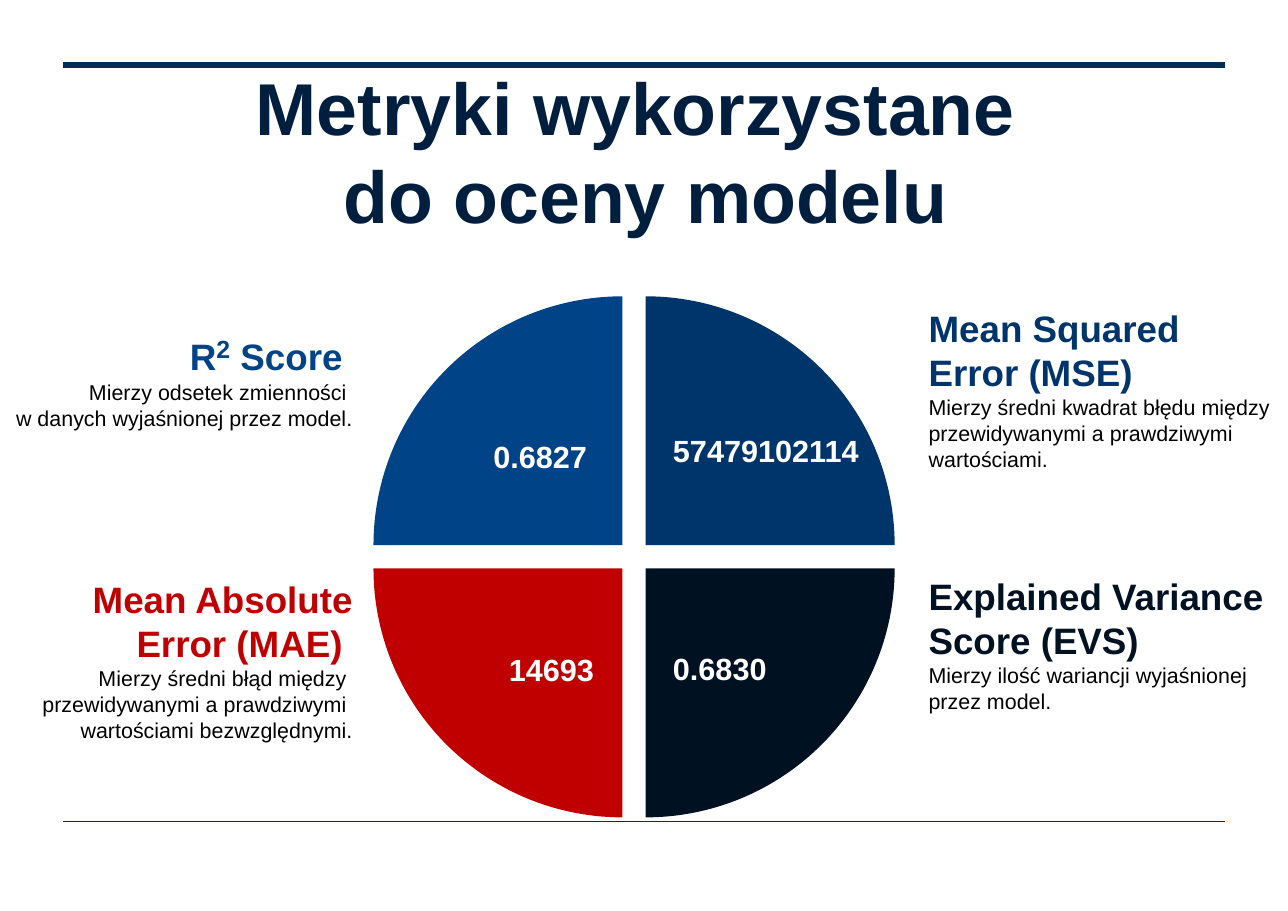
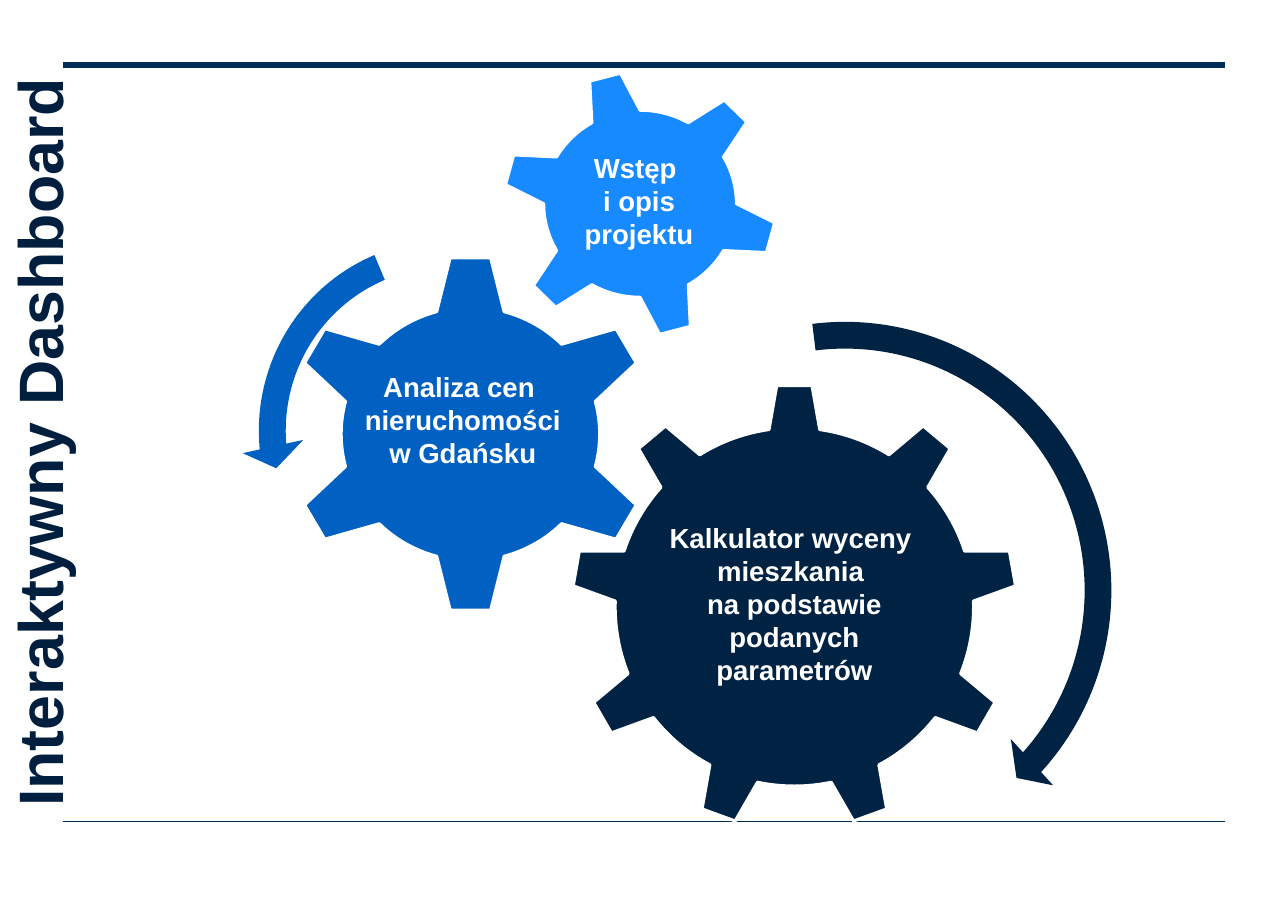
import math
from pptx import Presentation
from pptx import util as u
from pptx.dml.color import RGBColor
from pptx.enum import shapes, text
from lxml import etree

Inches = u.Inches
NAVY, RULE, WHITE, BLACK = "001E3E", "002C58", "FFFFFF", "000000"
LEFT, CENTER, RIGHT = text.PP_ALIGN.LEFT, text.PP_ALIGN.CENTER, text.PP_ALIGN.RIGHT
DRAWING = "{http://schemas.openxmlformats.org/drawingml/2006/main}"


def paint(target, color):
    """Colour a font, or give a fill or line one solid colour."""
    if hasattr(target, "solid"):
        target.solid()
        target.fore_color.rgb = RGBColor.from_string(color)
    else:
        target.color.rgb = RGBColor.from_string(color)


def add_text(page, place, rows, align=LEFT):
    """Add a box with one paragraph per (text, size, colour, bold) row."""
    box = page.shapes.add_textbox(*map(Inches, place))
    frame = box.text_frame
    frame.word_wrap = True
    for number, (words, size, color, bold) in enumerate(rows):
        para = frame.add_paragraph() if number else frame.paragraphs[0]
        para.text = words
        para.alignment = align
        para.font.name = "Arial"
        para.font.size = u.Pt(size)
        para.font.bold = bold
        paint(para.font, color)
    return box


deck = Presentation()
deck.slide_width, deck.slide_height = Inches(11.69), Inches(8.27)

# Both pages: a thick rule on top and a thin rule at the bottom
pages = [deck.slides.add_slide(deck.slide_layouts[6]) for _ in range(2)]
for page in pages:
    for y, weight in ((7.46, 0.75), (0.59, 4)):
        rule = page.shapes.add_connector(
            shapes.MSO_CONNECTOR.STRAIGHT,
            Inches(0.57), Inches(y), Inches(11.12), Inches(y))
        rule.line.width = u.Pt(weight)
        paint(rule.line, RULE)
        etree.SubElement(rule._element.spPr, DRAWING + "effectLst")
metrics, dashboard = pages

# Metrics: title
add_text(metrics, (0.32, 0.51, 11.08, 1.72),
         [(line, 48, NAVY, True) for line in ("Metryki wykorzystane ", "do oceny modelu")],
         CENTER)

# Metrics: quarter wedges (column, row, turn, colour) with value and description
quarters = [
    (0, 0, 0, "004386", "0.6827", (4.38, 3.93), 2.93,
     ["R"],
     ["Mierzy odsetek zmienności ", "w danych wyjaśnionej przez model."]),
    (1, 0, 90, "00356B", "57479102114", (6.01, 3.87), 2.73,
     ["Mean Squared ", "Error (MSE)"],
     ["Mierzy średni kwadrat błędu między", "przewidywanymi a prawdziwymi ",
      "wartościami."]),
    (1, 1, 180, "001122", "0.6830", (6.01, 5.85), 5.16,
     ["Explained Variance", "Score (EVS)"],
     ["Mierzy ilość wariancji wyjaśnionej ", "przez model."]),
    (0, 1, 270, "C00000", "14693", (4.52, 5.86), 5.19,
     ["Mean Absolute ", "Error (MAE) "],
     ["Mierzy średni błąd między ", "przewidywanymi a prawdziwymi ",
      "wartościami bezwzględnymi."]),
]
for column, row, turn, color, value, value_at, top, heading, details in quarters:
    wedge = metrics.shapes.add_shape(
        shapes.MSO_SHAPE.PIE_WEDGE, Inches(3.39 + 2.47 * column),
        Inches(2.69 + 2.47 * row), Inches(2.26), Inches(2.26))
    wedge.rotation = turn
    wedge.shadow.inherit = False
    paint(wedge.fill, color)
    wedge.line.fill.background()
    add_text(metrics, (*value_at, 2.1, 0.44), [(value, 20, WHITE, True)])

    rows = [(line, 24, color, True) for line in heading]
    rows += [(line, 14, BLACK, False) for line in details]
    place = (8.33, top, 3.36, 1.8) if column else (0, top, 3.39, 1.8)
    box = add_text(metrics, place, rows, LEFT if column else RIGHT)
    if column == 0:
        para = box.text_frame.paragraphs[len(heading) - 1]
        para._p.get_or_add_pPr().set("marR", str(Inches(0.09)))
    if heading == ["R"]:
        power = para.add_run()
        power.text = "2"
        power.font.size = u.Pt(28)
        power.font._element.set("baseline", "28000")
        para.add_run().text = " Score "

# Dashboard: gears (centre, stretch, teeth, turn, half width and distance of root and tip)
gears = [
    (7.21, 5.51, 1, 9, 0, (0.23, 1.61), (0.16, 2.01), "002243"),
    (4.27, 3.94, 1.02, 6, 0, (0.3, 1.11), (0.18, 1.6), "0061C2"),
    (5.81, 1.85, 1.03, 6, -15, (0.22, 0.82), (0.14, 1.19), "178AFF"),
]
for x, y, stretch, teeth, turn, (root_half, root), (tip_half, tip), color in gears:
    root_radius, root_angle = math.hypot(root_half, root), math.atan2(root_half, root)
    tip_radius, tip_angle = math.hypot(tip_half, tip), math.atan2(tip_half, tip)
    pitch = 2 * math.pi / teeth
    valley = pitch - 2 * root_angle
    # Handles of the cubic curve that follows the root circle between two teeth
    pull = 4 / 3 * math.tan(valley / 4)
    handle_radius = root_radius * math.hypot(1, pull)
    lean = math.atan(pull)
    polar = [(root_radius, -root_angle), (tip_radius, -tip_angle),
             (tip_radius, tip_angle), (root_radius, root_angle),
             (handle_radius, root_angle + lean),
             (handle_radius, pitch - root_angle - lean)]
    outline = []
    for tooth in range(teeth):
        middle = math.radians(turn) + tooth * pitch
        outline += [(Inches(x + stretch * r * math.sin(middle + a)),
                     Inches(y - r * math.cos(middle + a))) for r, a in polar]
    builder = dashboard.shapes.build_freeform(*outline[0], scale=1.0)
    builder.add_line_segments(outline[1:] + outline[:1], close=True)
    gear = builder.convert_to_shape()
    # Turn the last three points of every tooth into one curve
    steps = list(gear._element.iter(DRAWING + "lnTo"))
    for first in range(3, len(steps), 6):
        curve = steps[first]
        curve.tag = DRAWING + "cubicBezTo"
        for step in steps[first + 1:first + 3]:
            curve.append(step[0])
            step.getparent().remove(step)
    gear.shadow.inherit = False
    paint(gear.fill, color)
    paint(gear.line, WHITE)
    gear.line.width = u.Pt(2)

# Dashboard: curved arrows (thickness %, three angles in degrees, head %)
arrows = [
    (shapes.MSO_SHAPE.CIRCULAR_ARROW, (5.09, 2.76, 5.16, 5.2), "002243",
     4.7, (4.98, 42.59, 263), 5.5),
    (shapes.MSO_SHAPE.LEFT_CIRCULAR_ARROW, (2.19, 2.02, 3.75, 3.78), "0061C2",
     6.5, (7.17, 174.82, 247.3), 7.5),
]
for preset, place, color, thickness, angles, head in arrows:
    arrow = dashboard.shapes.add_shape(preset, *map(Inches, place))
    settings = [thickness / 100, *(angle * 0.6 for angle in angles), head / 100]
    for number, setting in enumerate(settings):
        arrow.adjustments[number] = setting
    arrow.shadow.inherit = False
    paint(arrow.fill, color)
    arrow.line.fill.background()

# Dashboard: gear labels and upright title
labels = [
    ((5.01, 1.32, 1.58, 1.01), ["Wstęp ", "i opis projektu"]),
    ((3.14, 3.31, 2.12, 1.01), ["Analiza cen ", "nieruchomości", "w Gdańsku"]),
    ((5.87, 4.68, 2.68, 1.62),
     ["Kalkulator wyceny ", "mieszkania ", "na podstawie podanych", "parametrów"]),
]
for place, lines in labels:
    add_text(dashboard, place, [(line, 18, WHITE, True) for line in lines], CENTER)
title = add_text(dashboard, (-3.43, 3.61, 7.59, 0.81),
                 [("Interaktywny Dashboard", 41, NAVY, True)], CENTER)
title.rotation = 270

deck.save("out.pptx")
